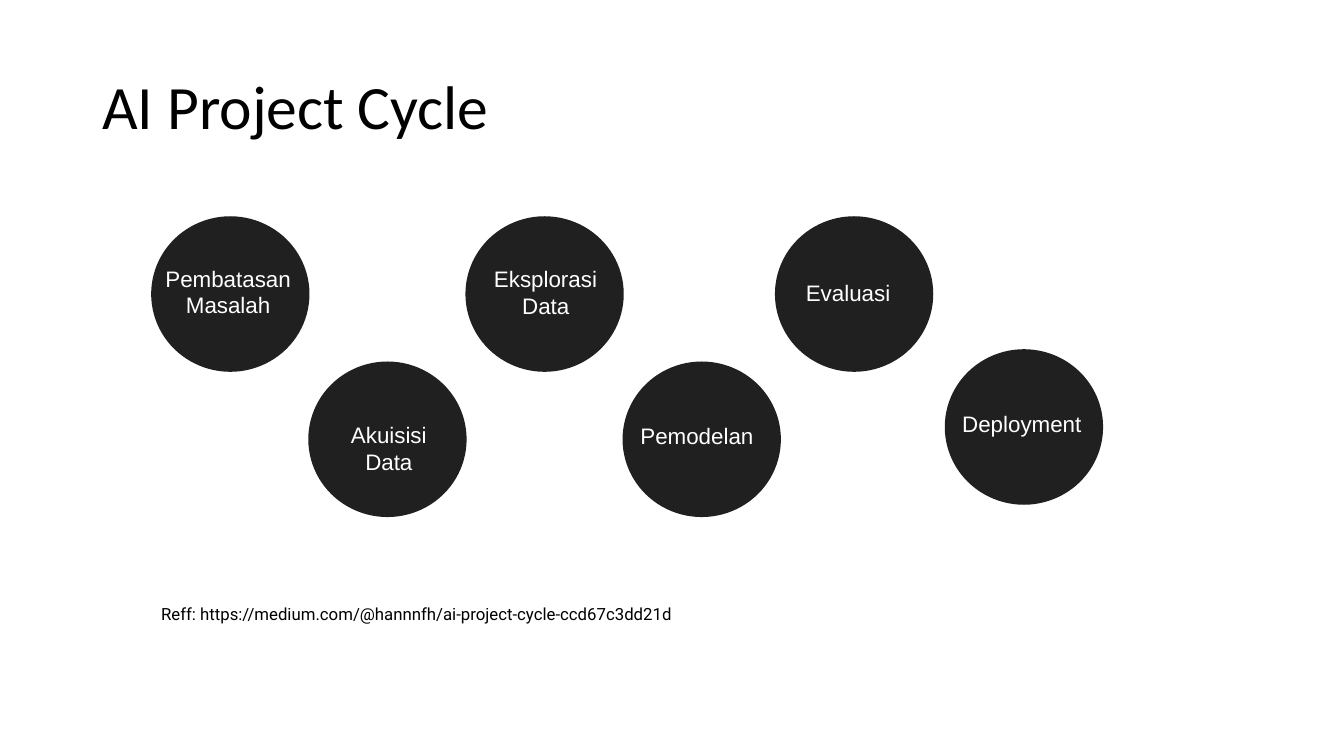
"""Build the AI Project Cycle slide."""
from dataclasses import dataclass

from pptx import Presentation
from pptx.dml.color import RGBColor
from pptx.enum.shapes import MSO_SHAPE
from pptx.enum.text import MSO_ANCHOR, PP_ALIGN
from pptx.slide import Slide
from pptx.util import Cm, Pt

OVAL = MSO_SHAPE.OVAL
TOP, MIDDLE = MSO_ANCHOR.TOP, MSO_ANCHOR.MIDDLE
LEFT, CENTER = PP_ALIGN.LEFT, PP_ALIGN.CENTER
BLACK = RGBColor(0x00, 0x00, 0x00)
WHITE = RGBColor(0xFF, 0xFF, 0xFF)
DARK = RGBColor(0x20, 0x20, 0x20)
WIDE, HIGH = 3.99, 3.92
START, STEP = 3.81, 3.96
UPPER, LOWER = 5.45, 9.11


@dataclass(frozen=True)
class Label:
    """Words of a stage and their box in centimetres."""
    text: str
    left: float
    top: float
    width: float
    height: float = 0.74
    align: PP_ALIGN = LEFT
    margin: float = 0.04
    indent: float = 0


@dataclass(frozen=True)
class Stage:
    """Circle corner in centimetres with its label."""
    left: float
    top: float
    label: Label


STAGES = [
    Stage(START, UPPER, Label("Pembatasan Masalah", 4.04, 6.63, 3.38, 1.42, CENTER)),
    Stage(START + STEP, LOWER, Label("Akuisisi Data", 8.33, 10.57, 2.9, 1.42, CENTER)),
    Stage(START + 2 * STEP, UPPER,
          Label("Eksplorasi Data", 12.4, 6.65, 2.9, 1.42, margin=0.76, indent=-0.71)),
    Stage(START + 3 * STEP, LOWER, Label("Pemodelan", 16.1, 10.59, 3.23)),
    Stage(19.53, UPPER, Label("Evaluasi", 20.27, 6.99, 2.49)),
    Stage(23.81, 8.8, Label("Deployment", 24.21, 10.29, 3.2)),
]


def write(slide: Slide, text: str, left: float, top: float, width: float,
          height: float, *, font: str = "Arial", size: float = 16,
          color: RGBColor = WHITE, align: PP_ALIGN = LEFT,
          anchor: MSO_ANCHOR = TOP, inset: tuple[float, float, float, float] = (0, 0.04, 0, 0),
          margin: float = 0, indent: float = 0, spacing: float = 1) -> None:
    """Place one formatted paragraph in a text box."""
    box = slide.shapes.add_textbox(Cm(left), Cm(top), Cm(width), Cm(height))
    frame = box.text_frame
    frame.word_wrap = True
    frame.vertical_anchor = anchor
    (frame.margin_left, frame.margin_top,
     frame.margin_right, frame.margin_bottom) = map(Cm, inset)
    para = frame.paragraphs[0]
    props = para._p.get_or_add_pPr()
    props.set("marL", str(Cm(margin)))
    props.set("indent", str(Cm(indent)))
    para.alignment = align
    para.line_spacing = spacing
    run = para.add_run()
    run.text = text
    run.font.name = font
    run.font.size = Pt(size)
    run.font.color.rgb = color


def draw(slide: Slide, stage: Stage) -> None:
    """Draw a stage circle and its label."""
    disc = slide.shapes.add_shape(OVAL, Cm(stage.left), Cm(stage.top), Cm(WIDE), Cm(HIGH))
    disc.shadow.inherit = False
    disc.fill.solid()
    disc.fill.fore_color.rgb = DARK
    disc.line.fill.background()
    label = stage.label
    write(slide, label.text, label.left, label.top, label.width, label.height,
          align=label.align, margin=label.margin, indent=label.indent)


def main() -> None:
    """Build and save the deck."""
    deck = Presentation()
    deck.slide_width, deck.slide_height = Cm(33.87), Cm(19.05)
    slide = deck.slides.add_slide(deck.slide_layouts[6])
    pad = (0.25, 0.13, 0.25, 0.13)
    write(slide, "AI Project Cycle", 2.33, 0.91, 29.21, 3.68, font="Calibri",
          size=44, color=BLACK, anchor=MIDDLE, inset=pad, spacing=0.9)
    for stage in STAGES:
        draw(slide, stage)
    write(slide, "Reff: https://medium.com/@hannnfh/ai-project-cycle-ccd67c3dd21d",
          3.81, 15.09, 22.43, 0.76, font="Roboto", size=12, color=BLACK, inset=pad)
    deck.save("out.pptx")


if __name__ == "__main__":
    main()
